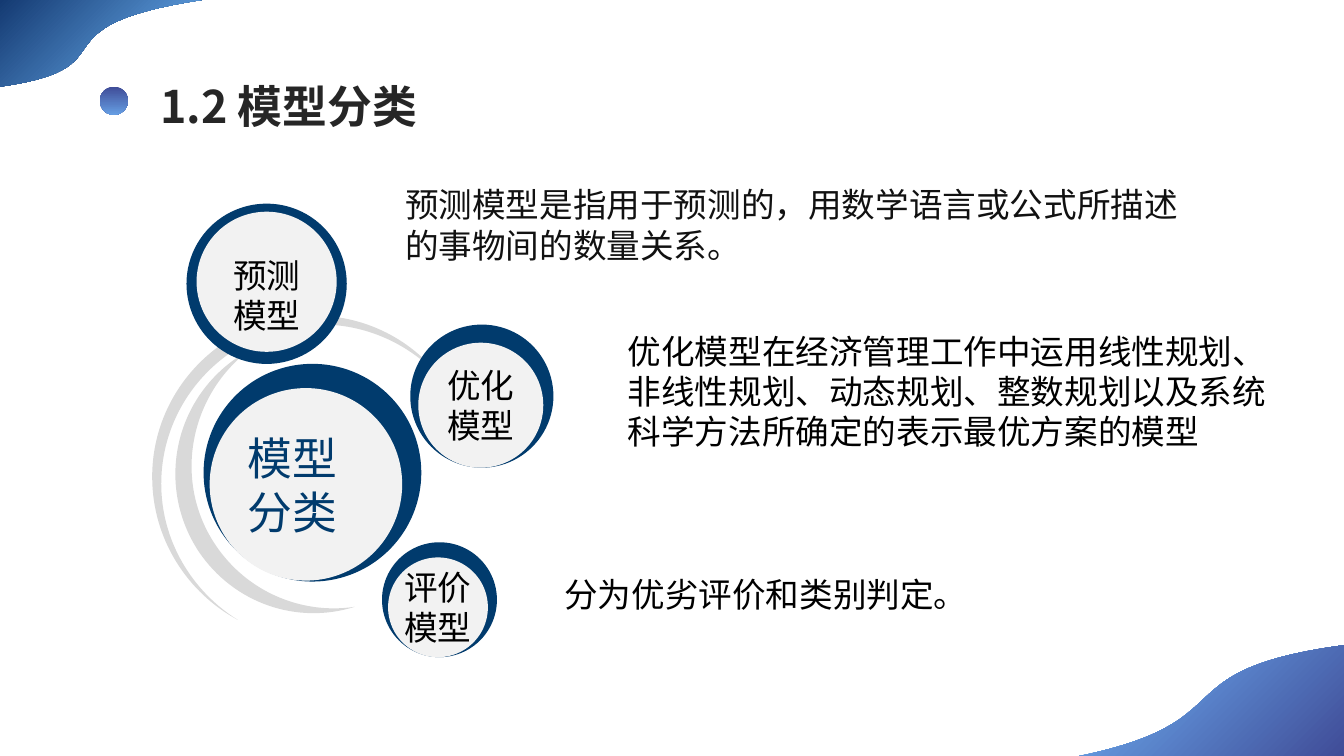
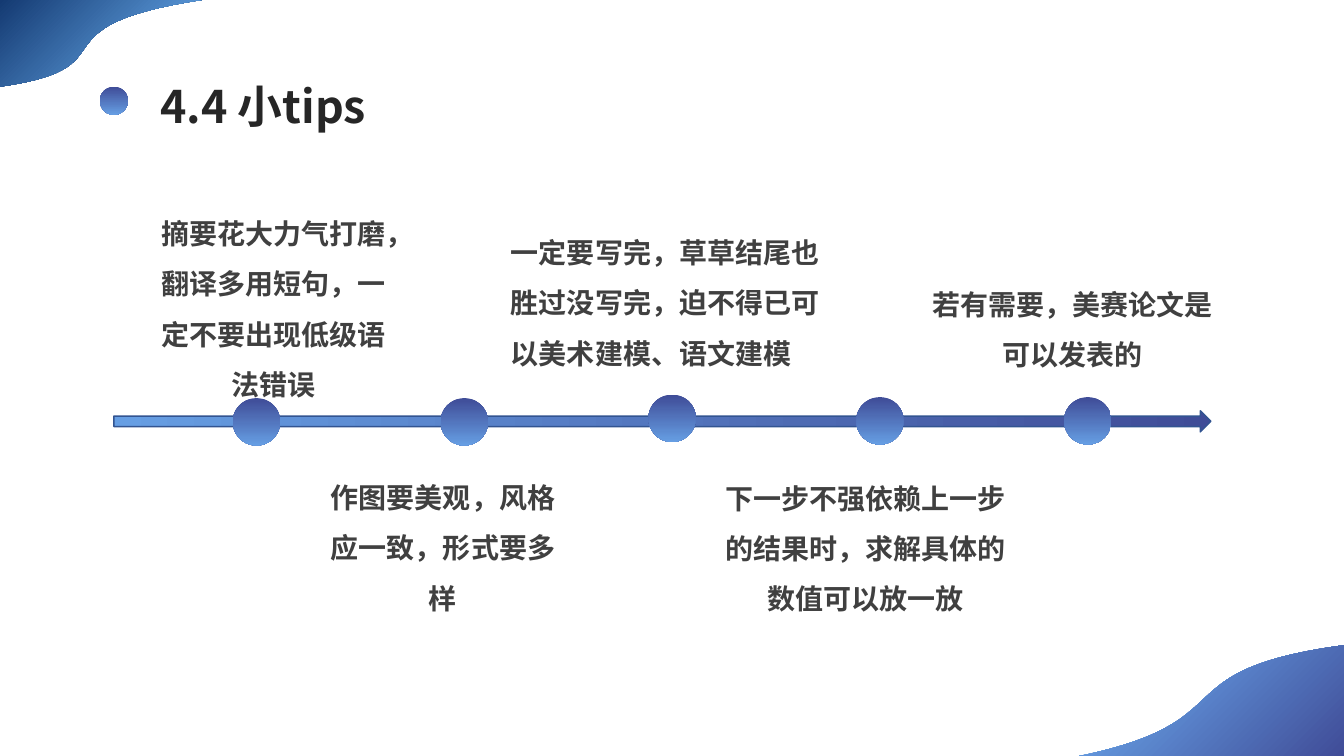
from dataclasses import dataclass

from lxml.etree import SubElement
from pptx import Presentation
from pptx.dml.color import RGBColor
from pptx.enum.shapes import MSO_SHAPE as Shape
from pptx.enum.text import MSO_ANCHOR as Anchor, PP_ALIGN as Align
from pptx.oxml.ns import qn
from pptx.util import Inches, Pt

# The slide is a grid of 160 columns by 90 rows of square cells.
COLUMNS, ROWS = 160, 90
CELL = Inches(1 / 12)


@dataclass(frozen=True)
class Theme:
    font: str = "Noto Sans CJK SC"
    title: str = "262626"
    lead: str = "111111"
    body: str = "000000"
    tip: str = "404040"
    navy: str = "013B6D"
    disc: str = "F2F2F2"
    swirl: str = "D9D9D9"
    arrow_line: str = "325491"
    dot: tuple = ("3F4C97", "669EE3")
    top_wave: tuple = ("143A72", "73BAFD")
    bottom_wave: tuple = ("73BAFD", "3F4B96")
    title_size: int = 32
    body_size: int = 24
    tip_size: int = 20


THEME = Theme()

# Outlines: a start point, then segments. A segment is one end point,
# or a curve (control 1, control 2, end).
TOP_WAVE = ((0, 0), [
    ((24, 0),), ((3.12, 3.24), (16.2, 8.04), (0, 10.32))])
BOTTOM_WAVE = ((160.08, 90.48), [
    ((126, 90.48),), ((149.64, 86.28), (137.04, 79.92), (160.08, 76.8))])
INNER_SWIRL = ((28.2, 42.6), [
    ((28.56, 42.36), (28.92, 42.12), (29.4, 41.88)),
    ((22.44, 47.4), (20.64, 57.48), (25.68, 64.92)),
    ((29.4, 70.44), (35.88, 73.2), (42.24, 72.24)),
    ((35.4, 74.4), (27.84, 71.88), (23.64, 65.64)),
    ((18.6, 57.96), (20.64, 47.76), (28.2, 42.6))])
OUTER_SWIRL = ((37.32, 37.56), [
    ((43.68, 37.56), (49.2, 40.56), (52.68, 45.24)),
    ((49.2, 41.28), (44.04, 38.64), (38.28, 38.64)),
    ((27.72, 38.64), (19.2, 47.16), (19.2, 57.6)),
    ((19.2, 64.44), (22.92, 70.44), (28.32, 73.8)),
    ((22.32, 70.56), (18.12, 64.2), (18.12, 56.76)),
    ((18.12, 46.2), (26.76, 37.56), (37.32, 37.56))])

# Model circles: ring and disc as (left, top, diameter), text, top inset
MODELS = [
    ((22.2, 24.24, 19.08), (23.4, 25.2, 16.68), "预测模型", 3.2),
    ((48.84, 38.64, 17.04), (49.8, 40.8, 14.88), "优化模型", 0),
    ((45.48, 64.56, 13.68), (46.2, 66.36, 11.88), "评价模型", 0),
]
DESCRIPTIONS = [
    ((47.04, 21.36, 95.76, 10.92), THEME.lead,
     "预测模型是指用于预测的，用数学语言或公式所描述的事物间的数量关系。"),
    ((73.56, 38.76, 80.04, 15.72), THEME.body,
     "优化模型在经济管理工作中运用线性规划、非线性规划、动态规划、"
     "整数规划以及系统科学方法所确定的表示最优方案的模型"),
    ((66, 67.68, 80.04, 6), THEME.body, "分为优劣评价和类别判定。"),
]
# Tips: text area, top of the dot, alignment, text
TIPS = [
    ((16.8, 21.72, 31.56, 28.08), 47.4, Align.CENTER,
     "摘要花大力气打磨，翻译多用短句，一定不要出现低级语法错误"),
    ((38.04, 56.16, 29.4, 16.08), 47.4, Align.CENTER,
     "作图要美观，风格应一致，形式要多样"),
    ((59.64, 27, 40.68, 16.08), 46.98, Align.LEFT,
     "一定要写完，草草结尾也胜过没写完，迫不得已可以美术建模、语文建模"),
    ((84.24, 55.56, 37.68, 17.4), 47.28, Align.CENTER,
     "下一步不强依赖上一步的结果时，求解具体的数值可以放一放"),
    ((109.44, 29.52, 36.48, 17.4), 47.28, Align.CENTER,
     "若有需要，美赛论文是可以发表的"),
]


def cells(*counts):
    return [round(count * CELL) for count in counts]


# Painting and text
def paint(shape, color, angle=0, line=None):
    """Fill with one colour, or a pair as a gradient turned clockwise."""
    shape.shadow.inherit = False
    if isinstance(color, tuple):
        shape.fill.gradient()
        shape.fill.gradient_angle = 360 - angle
        for stop, value in zip(shape.fill.gradient_stops, color):
            stop.color.rgb = RGBColor.from_string(value)
    else:
        shape.fill.solid()
        shape.fill.fore_color.rgb = RGBColor.from_string(color)
    if line:
        shape.line.color.rgb = RGBColor.from_string(line)
        shape.line.width = Pt(1)
    else:
        shape.line.fill.background()


def write(box, text, size, color, bold=False, align=Align.LEFT,
          anchor=Anchor.TOP, spacing=None):
    frame = box.text_frame
    frame.word_wrap = True
    frame.vertical_anchor = anchor
    para = frame.paragraphs[0]
    para.text = text
    para.alignment = align
    if spacing:
        para.line_spacing = spacing
    font = para.font
    font.name, font.size, font.bold = THEME.font, Pt(size), bold
    font.color.rgb = RGBColor.from_string(color)
    east_asian = SubElement(para._p.pPr.find(qn("a:defRPr")), qn("a:ea"))
    east_asian.set("typeface", THEME.font)


def add_text(page, area, text, size, color, **style):
    box = page.shapes.add_textbox(*cells(*area))
    write(box, text, size, color, **style)


# Shapes
def add_circle(page, left, top, diameter, color, angle=0):
    circle = page.shapes.add_shape(
        Shape.OVAL, *cells(left, top, diameter, diameter))
    paint(circle, color, angle)
    return circle


def bend(line, shape, points):
    """Turn a straight path segment into a cubic curve."""
    line.tag = qn("a:cubicBezTo")
    line.remove(line[0])
    for point in points:
        x, y = cells(*point)
        node = SubElement(line, qn("a:pt"))
        node.set("x", str(x - shape.left))
        node.set("y", str(y - shape.top))


def add_outline(page, outline, color, angle=0):
    start, segments = outline
    builder = page.shapes.build_freeform(*cells(*start))
    builder.add_line_segments(
        [cells(*segment[-1]) for segment in segments], close=True)
    shape = builder.convert_to_shape()
    lines = list(shape._element.iter(qn("a:lnTo")))
    for line, segment in zip(lines, segments):
        if len(segment) == 3:
            bend(line, shape, segment)
    paint(shape, color, angle)


def add_model(page, ring, disc, text, size, color, align, insets=None):
    add_circle(page, *ring, THEME.navy)
    circle = add_circle(page, *disc, THEME.disc)
    write(circle, text, size, color, align=align, anchor=Anchor.MIDDLE)
    if insets:
        frame = circle.text_frame
        (frame.margin_left, frame.margin_top,
         frame.margin_right, frame.margin_bottom) = cells(*insets)


# Slides
def add_page(deck, title):
    page = deck.slides.add_slide(deck.slide_layouts[6])
    add_text(page, (17.88, 8.76, 50.4, 6.24), title,
             THEME.title_size, THEME.title, bold=True)
    add_circle(page, 11.88, 10.32, 3.36, THEME.dot, 90)
    add_outline(page, BOTTOM_WAVE, THEME.bottom_wave, 45)
    add_outline(page, TOP_WAVE, THEME.top_wave, 45)
    return page


def add_models_page(deck):
    page = add_page(deck, "1.2 模型分类")
    for swirl in (INNER_SWIRL, OUTER_SWIRL):
        add_outline(page, swirl, THEME.swirl)
    add_model(page, (24.24, 43.32, 25.92), (24.96, 46.2, 22.92),
              "模型分类", THEME.title_size, THEME.navy, Align.LEFT)
    for ring, disc, text, top_inset in MODELS:
        add_model(page, ring, disc, text, THEME.body_size, THEME.body,
                  Align.CENTER, (0, top_inset, 0, 0))
    for area, color, text in DESCRIPTIONS:
        add_text(page, area, text, THEME.body_size, color)


def add_tips_page(deck):
    page = add_page(deck, "4.4 小tips")
    arrow = page.shapes.add_shape(
        Shape.RIGHT_ARROW, *cells(13.56, 48.9, 130.6, 2.52))
    paint(arrow, THEME.dot, 180, THEME.arrow_line)
    first_dot, dot_step = 27.72, 24.74
    for index, (area, dot_top, align, text) in enumerate(TIPS):
        add_circle(page, first_dot + index * dot_step, dot_top, 5.64,
                   THEME.dot, 90)
        add_text(page, area, text, THEME.tip_size, THEME.tip, bold=True,
                 align=align, anchor=Anchor.MIDDLE, spacing=1.5)


def main():
    deck = Presentation()
    deck.slide_width, deck.slide_height = cells(COLUMNS, ROWS)
    add_models_page(deck)
    add_tips_page(deck)
    deck.save("out.pptx")


if __name__ == "__main__":
    main()
